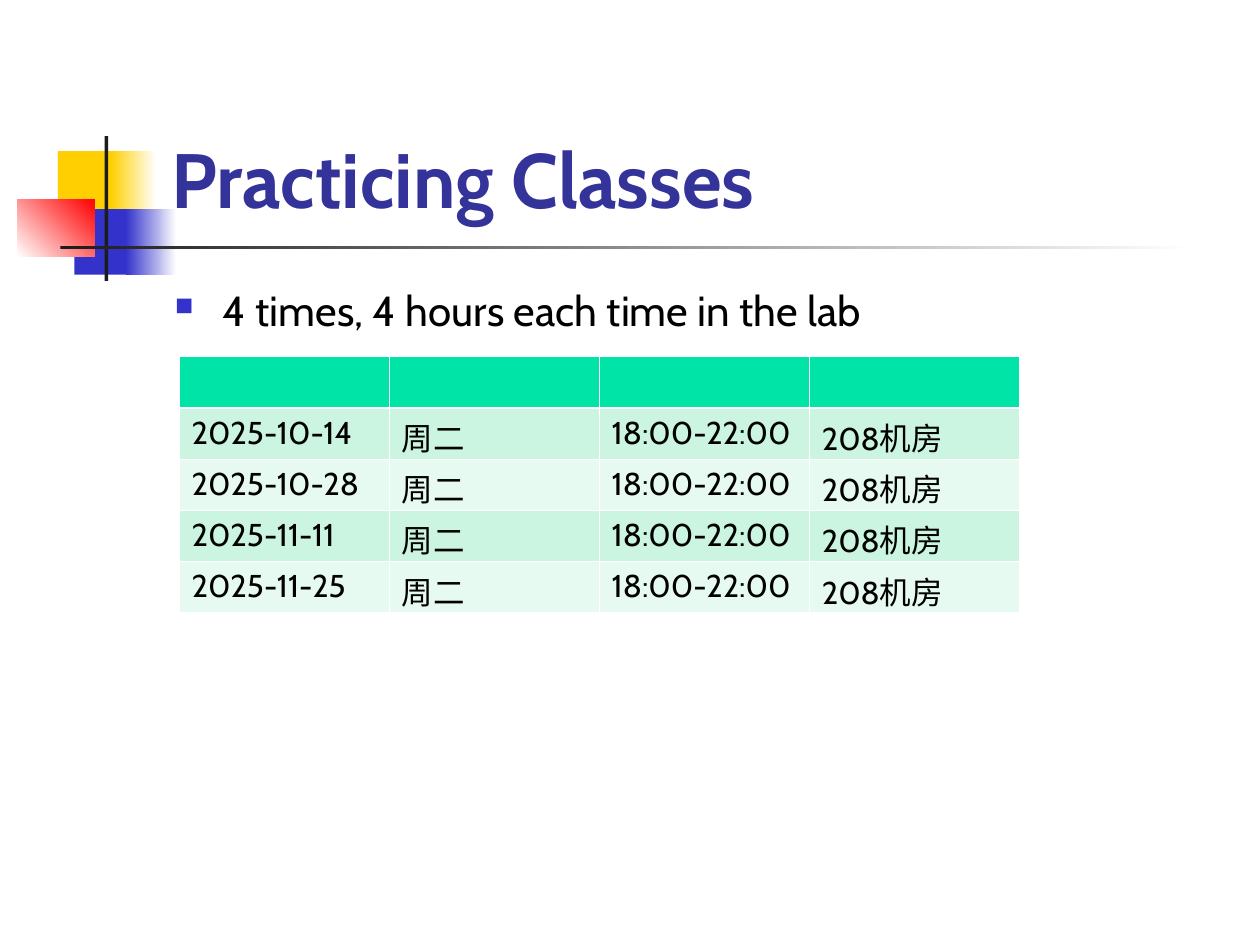
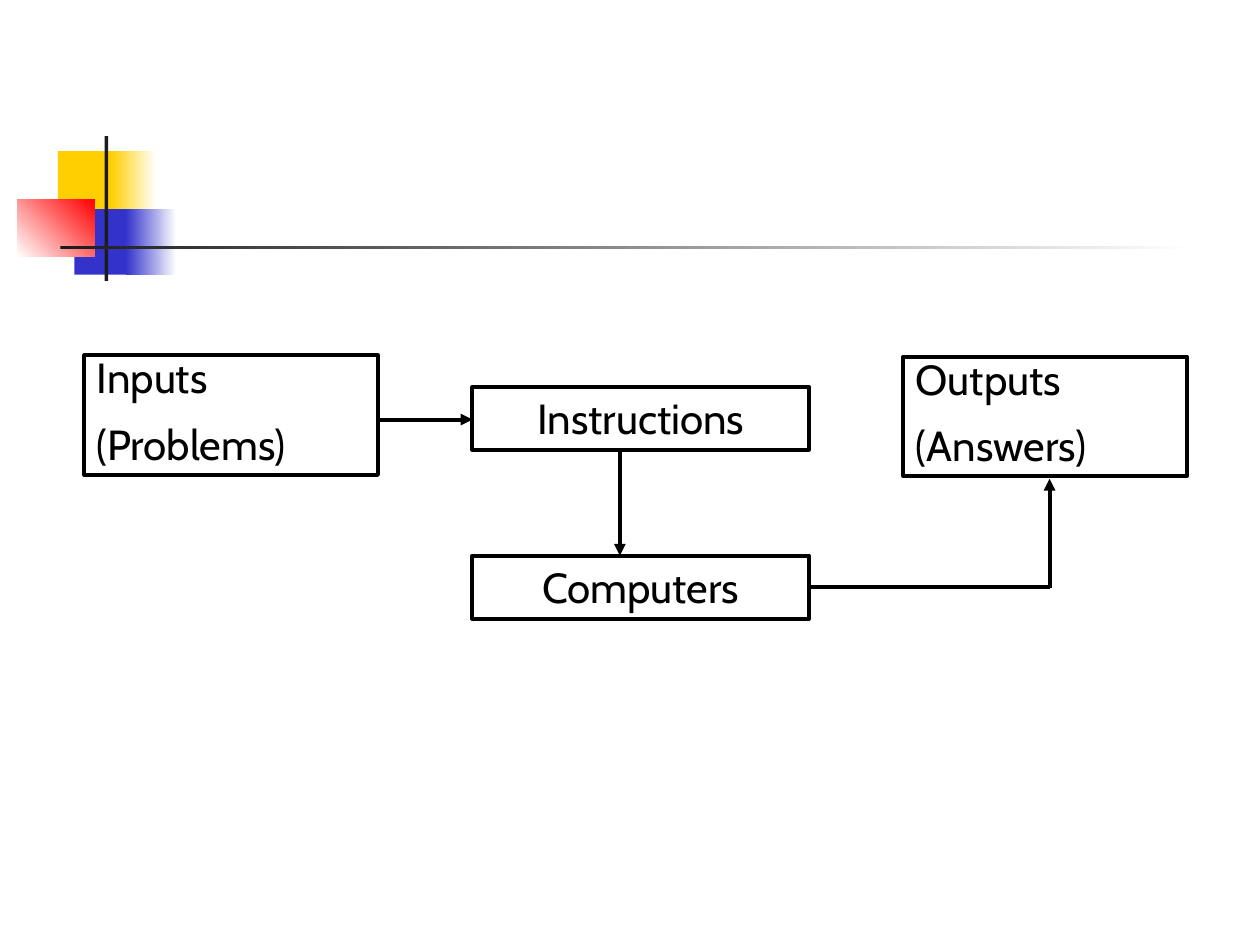
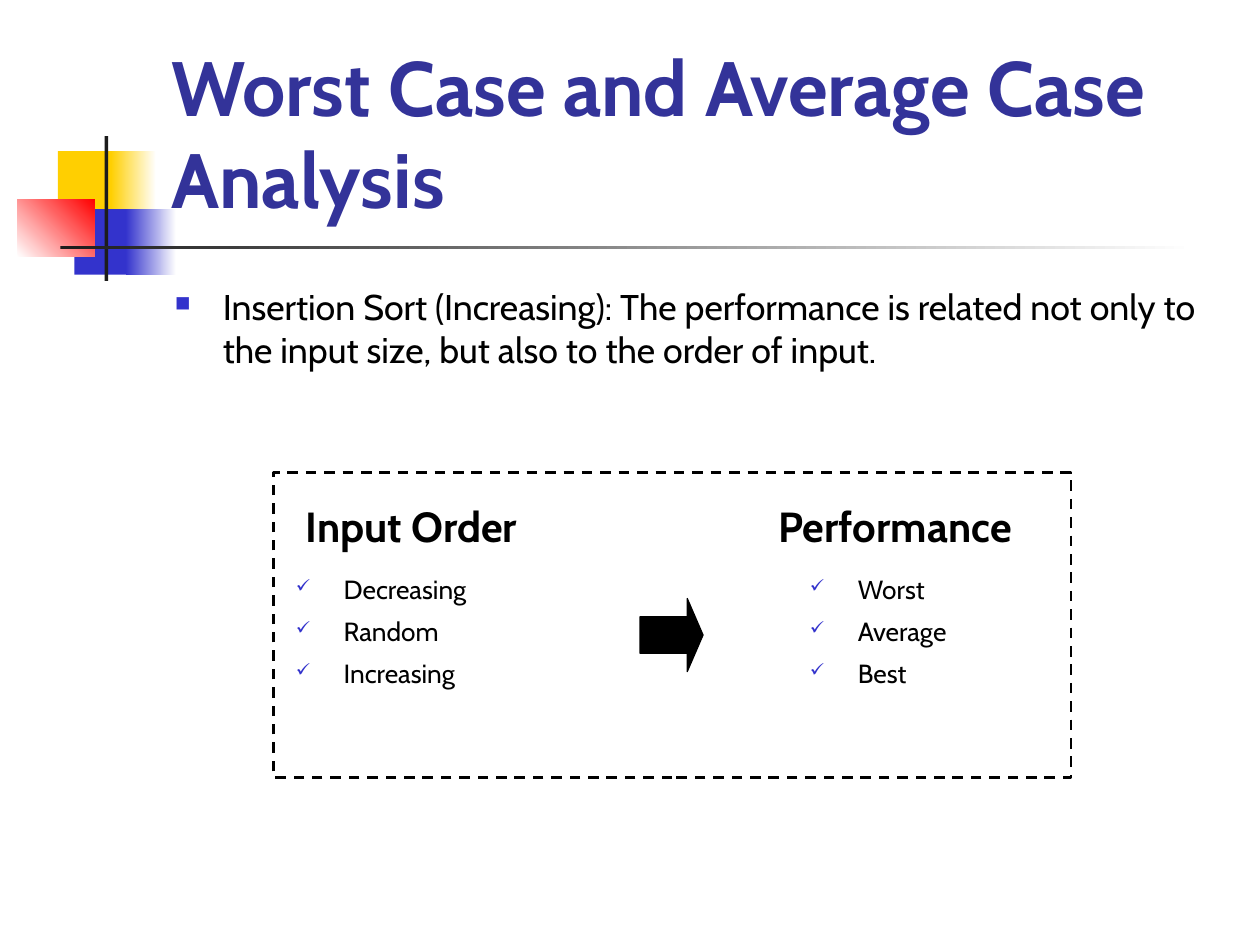
"""Build three algorithm course slides: lab schedule, computing model and case analysis."""
from dataclasses import dataclass, replace
from typing import NamedTuple, Optional

from lxml.etree import SubElement
from pptx import Presentation
from pptx.dml.color import RGBColor
from pptx.enum.dml import MSO_LINE
from pptx.enum.shapes import MSO_CONNECTOR, MSO_SHAPE
from pptx.enum.text import MSO_ANCHOR, PP_ALIGN
from pptx.oxml.ns import qn
from pptx.util import Inches, Pt


@dataclass(frozen=True)
class Theme:
    font: str = "Cabin"
    ink: str = "000000"
    title: str = "333399"
    white: str = "FFFFFF"
    yellow: str = "FFCF01"
    blue: str = "3333CC"
    red: str = "FF0000"
    rule: str = "1C1C1C"
    header: str = "00E4A8"
    bands: tuple[str, str] = ("CBF5E1", "E7FAF1")
    title_size: float = 44
    body_size: float = 24
    compact_size: float = 20.4
    table_size: float = 18
    item_size: float = 15


THEME = Theme()


class Box(NamedTuple):
    left: float
    top: float
    width: float
    height: float

    def lengths(self) -> list:
        return [Inches(value) for value in self]


class Bullet(NamedTuple):
    symbol: str
    percent: int


class Block(NamedTuple):
    box: Box
    fill: str
    fade_to: Optional[str] = None
    angle: float = 0


class Arrow(NamedTuple):
    start: tuple[float, float]
    end: tuple[float, float]
    has_head: bool = True


@dataclass(frozen=True)
class TextStyle:
    size: float
    color: str = THEME.ink
    bold: bool = False
    align: PP_ALIGN = PP_ALIGN.LEFT
    line_spacing: Optional[float] = None
    space_before: float = 6
    bullet: Optional[Bullet] = None


SQUARE = Bullet("■", 60)
CHECK = Bullet("✓", 70)
TITLE = TextStyle(THEME.title_size, THEME.title, bold=True)
BODY = TextStyle(THEME.body_size, bullet=SQUARE)
COMPACT_BODY = replace(BODY, size=THEME.compact_size)
HEADING = TextStyle(THEME.body_size, bold=True)
ITEM = TextStyle(THEME.item_size, bullet=CHECK)
CELL = TextStyle(THEME.table_size)
STEP = TextStyle(THEME.body_size, align=PP_ALIGN.CENTER)
DATA = TextStyle(THEME.body_size, line_spacing=0.8, space_before=15)

TITLE_BOX = Box(1.26, 0.23, 8.52, 1.6)
MOTIF = (
    Block(Box(0.46, 1.2, 0.48, 0.52), THEME.yellow),
    Block(Box(0.88, 1.2, 0.36, 0.52), THEME.yellow, THEME.white),
    Block(Box(0.59, 1.66, 0.46, 0.52), THEME.blue),
    Block(Box(1, 1.66, 0.4, 0.52), THEME.blue, THEME.white),
    Block(Box(0.14, 1.58, 0.61, 0.46), THEME.white, THEME.red, 45),
    Block(Box(0.83, 1.08, 0.03, 1.15), THEME.rule),
    Block(Box(0.48, 1.95, 9, 0.03), THEME.rule, THEME.white),
)


def rgb(color: str) -> RGBColor:
    return RGBColor.from_string(color)


def add_bullet(paragraph, bullet: Bullet) -> None:
    properties = paragraph._p.get_or_add_pPr()
    properties.set("marL", str(Inches(0.38)))
    properties.set("indent", str(Inches(-0.38)))
    color = SubElement(properties, qn("a:buClr"))
    SubElement(color, qn("a:srgbClr"), val=THEME.blue)
    SubElement(properties, qn("a:buSzPct"), val=str(bullet.percent * 1000))
    SubElement(properties, qn("a:buChar"), char=bullet.symbol)


def write(frame, lines: list[str], style: TextStyle) -> None:
    frame.word_wrap = True
    frame.text = "\n".join(lines)
    for index, paragraph in enumerate(frame.paragraphs):
        paragraph.alignment = style.align
        if style.line_spacing:
            paragraph.line_spacing = style.line_spacing
        if index:
            paragraph.space_before = Pt(style.space_before)
        if style.bullet:
            add_bullet(paragraph, style.bullet)
        for run in paragraph.runs:
            run.font.name = THEME.font
            run.font.size = Pt(style.size)
            run.font.bold = style.bold
            run.font.color.rgb = rgb(style.color)


def add_text(slide, box: Box, lines: list[str], style: TextStyle, anchor=MSO_ANCHOR.TOP) -> None:
    frame = slide.shapes.add_textbox(*box.lengths()).text_frame
    frame.vertical_anchor = anchor
    write(frame, lines, style)


def add_block(slide, block: Block) -> None:
    rectangle = slide.shapes.add_shape(MSO_SHAPE.RECTANGLE, *block.box.lengths())
    rectangle.shadow.inherit = False
    rectangle.line.fill.background()
    if block.fade_to is None:
        rectangle.fill.solid()
        rectangle.fill.fore_color.rgb = rgb(block.fill)
        return
    rectangle.fill.gradient()
    rectangle.fill.gradient_angle = block.angle
    for stop, color in zip(rectangle.fill.gradient_stops, (block.fill, block.fade_to)):
        stop.color.rgb = rgb(color)


def add_outline(slide, box: Box, weight: float, kind=MSO_SHAPE.RECTANGLE):
    outline = slide.shapes.add_shape(kind, *box.lengths())
    outline.shadow.inherit = False
    outline.fill.background()
    outline.line.color.rgb = rgb(THEME.ink)
    outline.line.width = Pt(weight)
    return outline


def add_labelled_box(slide, box: Box, lines: list[str], style: TextStyle) -> None:
    frame = add_outline(slide, box, 2.25).text_frame
    frame.vertical_anchor = MSO_ANCHOR.TOP
    write(frame, lines, style)


def add_arrow(slide, arrow: Arrow) -> None:
    ends = [Inches(value) for value in (*arrow.start, *arrow.end)]
    connector = slide.shapes.add_connector(MSO_CONNECTOR.STRAIGHT, *ends)
    connector.line.color.rgb = rgb(THEME.ink)
    connector.line.width = Pt(2.25)
    if arrow.has_head:
        SubElement(connector.line._get_or_add_ln(), qn("a:tailEnd"), type="triangle")
    SubElement(connector._element.spPr, qn("a:effectLst"))


def add_borders(cell, weights: dict[str, float]) -> None:
    properties = cell._tc.get_or_add_tcPr()
    for side, weight in weights.items():
        line = SubElement(properties, qn(f"a:ln{side}"), w=str(Pt(weight)))
        fill = SubElement(line, qn("a:solidFill"))
        SubElement(fill, qn("a:srgbClr"), val=THEME.white)


def add_schedule(slide, box: Box, dates: list[str]) -> None:
    rows = [[""] * 4] + [[date, "周二", "18:00-22:00", "208机房"] for date in dates]
    table = slide.shapes.add_table(len(rows), len(rows[0]), *box.lengths()).table
    for row_index, row in enumerate(rows):
        color = THEME.bands[(row_index - 1) % 2] if row_index else THEME.header
        weights = {
            "L": 0.45,
            "R": 0.45,
            "T": 1.47 if row_index == 1 else 0.45,
            "B": 1.47 if row_index == 0 else 0.45,
        }
        for column_index, content in enumerate(row):
            cell = table.cell(row_index, column_index)
            add_borders(cell, weights)
            cell.fill.solid()
            cell.fill.fore_color.rgb = rgb(color)
            write(cell.text_frame, [content], CELL)


def add_slide(deck, title: Optional[str] = None):
    slide = deck.slides.add_slide(deck.slide_layouts[6])
    for block in MOTIF:
        add_block(slide, block)
    if title:
        add_text(slide, TITLE_BOX, [title], TITLE, MSO_ANCHOR.BOTTOM)
    return slide


def build_practice(deck) -> None:
    slide = add_slide(deck, "Practicing Classes")
    add_text(slide, Box(1.29, 2.21, 8.5, 4.5), ["4 times, 4 hours each time in the lab"], BODY)
    dates = ["2025-10-14", "2025-10-28", "2025-11-11", "2025-11-25"]
    add_schedule(slide, Box(1.42, 2.83, 6.67, 2.03), dates)


def build_model(deck) -> None:
    slide = add_slide(deck)
    add_labelled_box(slide, Box(3.75, 3.07, 2.67, 0.5), ["Instructions"], STEP)
    add_labelled_box(slide, Box(0.67, 2.82, 2.33, 0.95), ["Inputs", "(Problems)"], DATA)
    add_labelled_box(slide, Box(7.17, 2.83, 2.25, 0.95), ["Outputs", "(Answers)"], DATA)
    add_labelled_box(slide, Box(3.75, 4.41, 2.67, 0.5), ["Computers"], STEP)
    for arrow in (
        Arrow((3, 3.33), (3.75, 3.33)),
        Arrow((4.92, 3.58), (4.92, 4.41)),
        Arrow((6.42, 4.66), (8.33, 4.66), has_head=False),
        Arrow((8.33, 4.67), (8.33, 3.8)),
    ):
        add_arrow(slide, arrow)


def build_cases(deck) -> None:
    slide = add_slide(deck, "Worst Case and Average Case Analysis")
    statement = (
        "Insertion Sort (Increasing): The performance is related not only to "
        "the input size, but also to the order of input."
    )
    add_text(slide, Box(1.29, 2.21, 8.5, 1.04), [statement], COMPACT_BODY)
    add_text(slide, Box(2.25, 4.5, 3.83, 1.04), ["Decreasing", "Random", "Increasing"], ITEM)
    add_text(slide, Box(6.33, 4.5, 2.33, 1.04), ["Worst", "Average", "Best"], ITEM)
    add_text(slide, Box(2.33, 3.92, 2.25, 0.75), ["Input Order"], HEADING)
    add_text(slide, Box(6.08, 3.92, 2.67, 0.75), ["Performance"], HEADING)
    implication = add_outline(slide, Box(5.08, 4.75, 0.5, 0.58), 0.75, MSO_SHAPE.RIGHT_ARROW)
    implication.adjustments[0] = 0.5
    implication.adjustments[1] = 0.25
    implication.fill.solid()
    implication.fill.fore_color.rgb = rgb(THEME.ink)
    comparison = add_outline(slide, Box(2.17, 3.75, 6.33, 2.42), 1.5)
    comparison.line.dash_style = MSO_LINE.DASH


def main() -> None:
    deck = Presentation()
    deck.slide_width = Inches(10)
    deck.slide_height = Inches(7.5)
    build_practice(deck)
    build_model(deck)
    build_cases(deck)
    deck.save("out.pptx")


if __name__ == "__main__":
    main()
